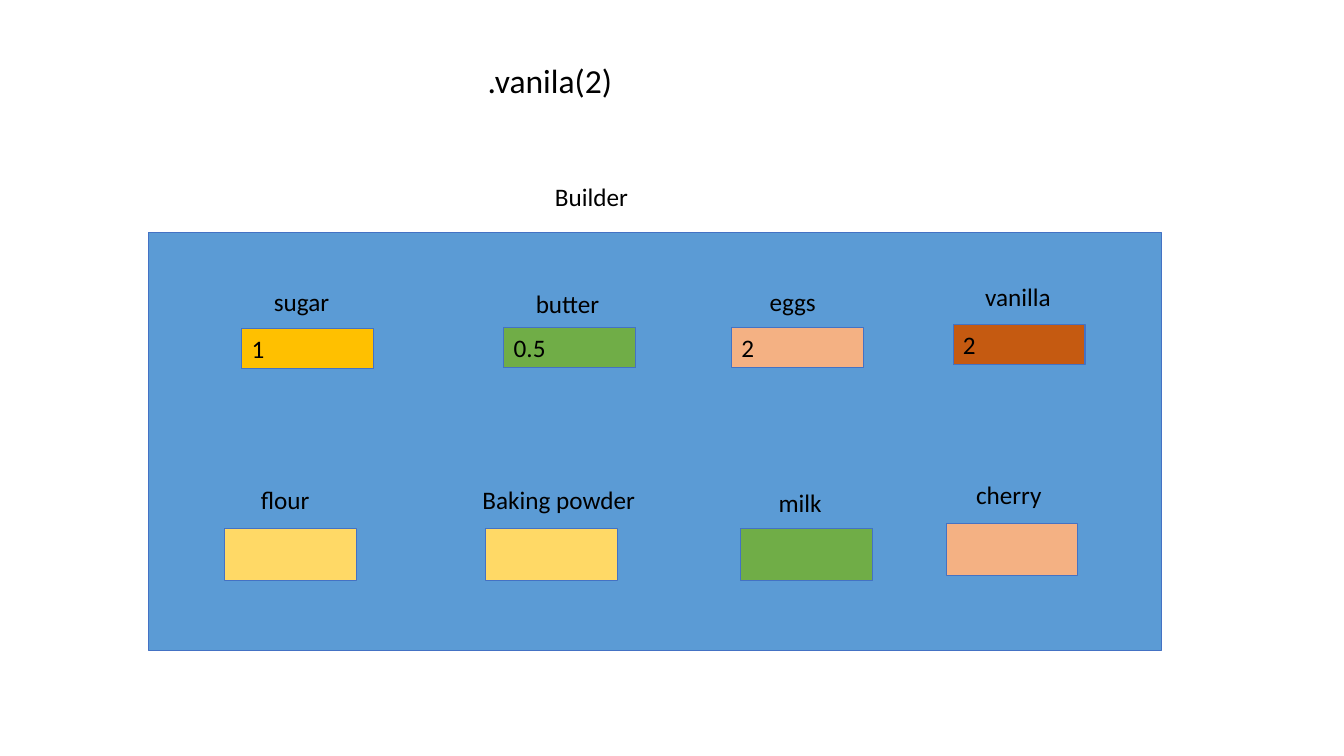
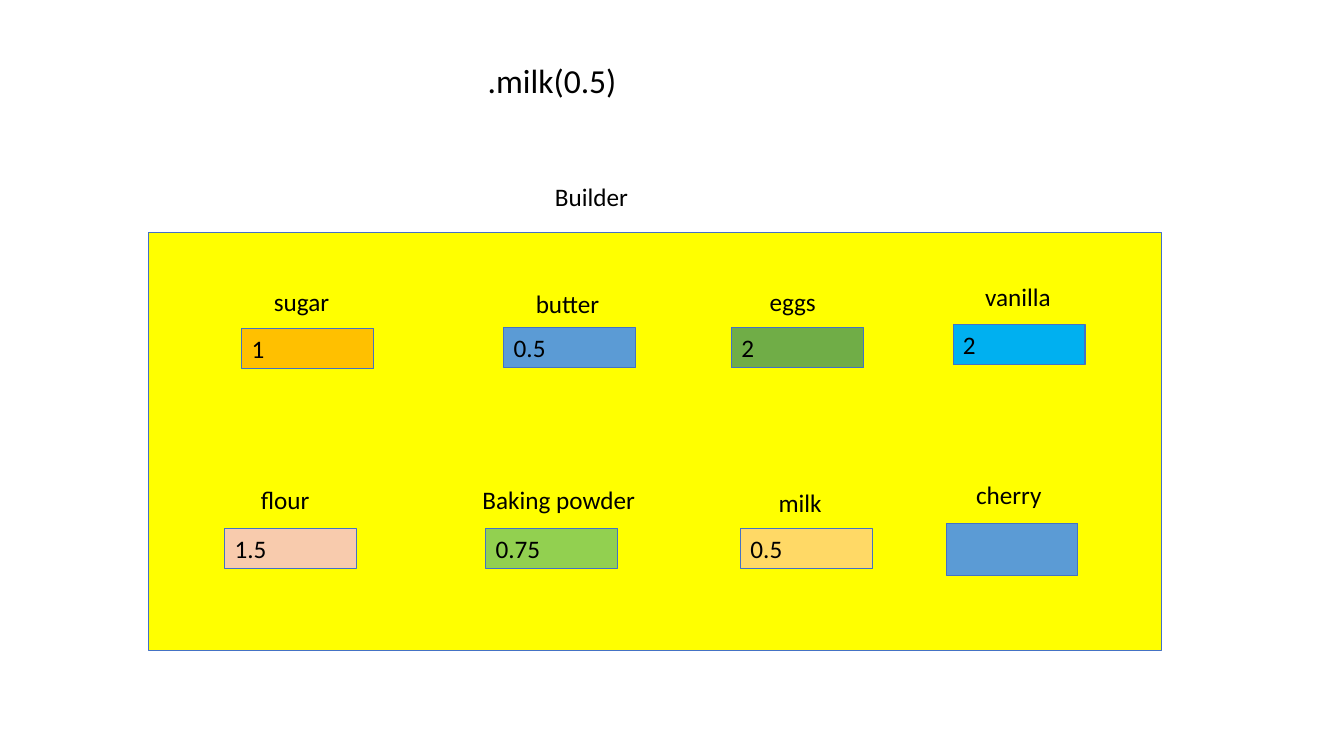
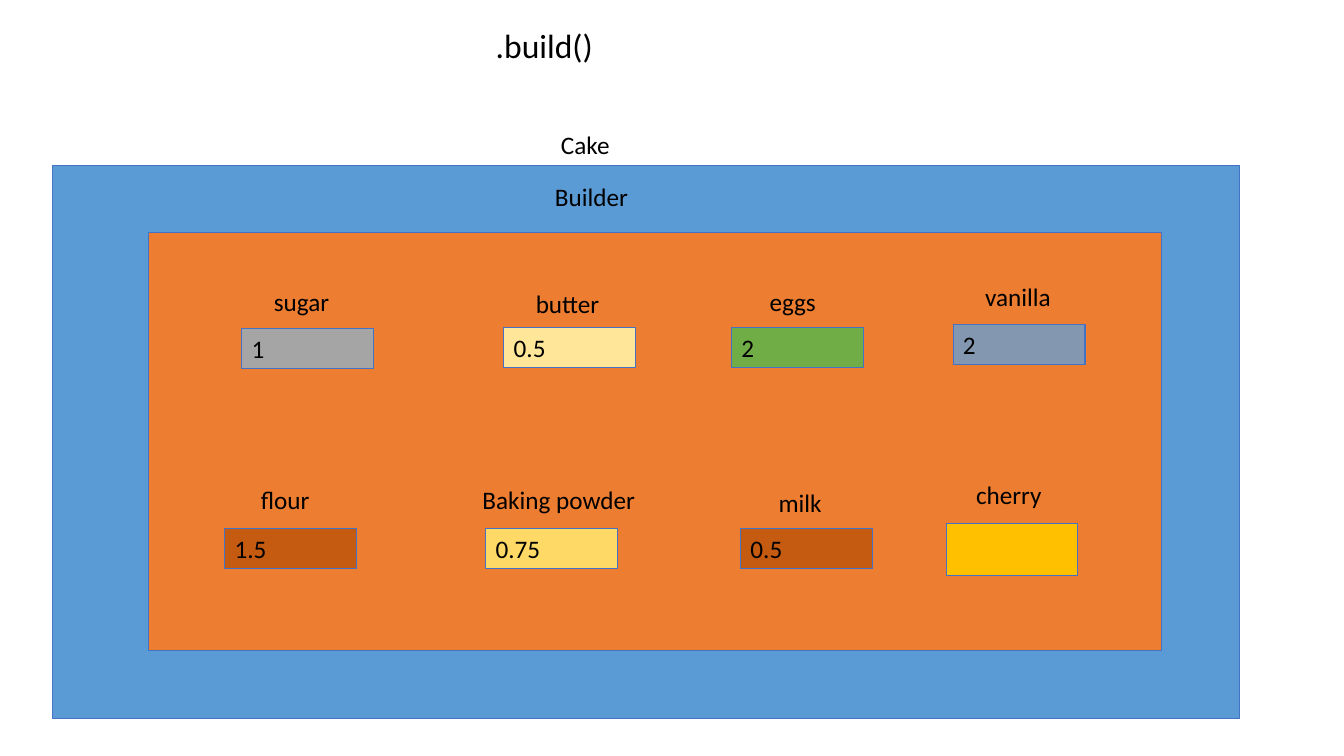
from pptx import Presentation
from pptx.dml.color import RGBColor
from pptx.enum.shapes import MSO_SHAPE
from pptx.enum.text import MSO_ANCHOR, MSO_AUTO_SIZE, PP_ALIGN
from pptx.util import Inches, Pt

RECT = MSO_SHAPE.RECTANGLE
TOP, LEFT, FIXED = MSO_ANCHOR.TOP, PP_ALIGN.LEFT, MSO_AUTO_SIZE.NONE

BLACK = RGBColor(0x00, 0x00, 0x00)
EDGE = RGBColor(0x44, 0x72, 0xC4)
BLUE = RGBColor(0x5B, 0x9B, 0xD5)
SKY = RGBColor(0x00, 0xB0, 0xF0)
SLATE = RGBColor(0x84, 0x97, 0xB0)
GREY = RGBColor(0xA5, 0xA5, 0xA5)
YELLOW = RGBColor(0xFF, 0xFF, 0x00)
GOLD = RGBColor(0xFF, 0xC0, 0x00)
SAND = RGBColor(0xFF, 0xD9, 0x66)
CREAM = RGBColor(0xFF, 0xE6, 0x99)
GREEN = RGBColor(0x70, 0xAD, 0x47)
LIME = RGBColor(0x92, 0xD0, 0x50)
ORANGE = RGBColor(0xED, 0x7D, 0x31)
RUST = RGBColor(0xC5, 0x5A, 0x11)
PEACH = RGBColor(0xF4, 0xB1, 0x83)
BLUSH = RGBColor(0xF8, 0xCB, 0xAD)

# Boxes are left, top, width, height in inches.
BUILDER = (1.47, 2.31, 10.06, 4.14)
CAKE = (0.52, 1.64, 11.78, 5.49)
SLOT_W, FULL_H, EMPTY_H = 1.31, 0.4, 0.52
LABEL_W, WIDE_W, LABEL_H = 0.94, 1.72, 0.4

# Name, slot offset in the panel, label offset from the slot, label width.
PARTS = [
    ("sugar", (0.93, 0.95), (0.22, -0.47), LABEL_W),
    ("butter", (3.53, 0.94), (0.22, -0.44), LABEL_W),
    ("eggs", (5.79, 0.94), (0.28, -0.46), LABEL_W),
    ("vanilla", (7.99, 0.91), (0.22, -0.48), LABEL_W),
    ("flour", (0.76, 2.93), (0.26, -0.48), LABEL_W),
    ("Baking powder", (3.35, 2.93), (-0.13, -0.48), WIDE_W),
    ("milk", (5.88, 2.93), (0.28, -0.45), LABEL_W),
    ("cherry", (7.92, 2.88), (0.20, -0.48), LABEL_W),
]

# Each slide: title, title box, panel fill, slot values and slot fills.
STEPS = [
    (".vanila(2)", (4.74, 0.54, 1.58, 0.5), BLUE,
     ["1", "0.5", "2", "2", "", "", "", ""],
     [GOLD, GREEN, PEACH, RUST, SAND, SAND, GREEN, PEACH]),
    (".milk(0.5)", (4.74, 0.54, 1.67, 0.5), YELLOW,
     ["1", "0.5", "2", "2", "1.5", "0.75", "0.5", ""],
     [GOLD, BLUE, GREEN, SKY, BLUSH, LIME, SAND, BLUE]),
    (".build()", (4.82, 0.2, 1.67, 0.5), ORANGE,
     ["1", "0.5", "2", "2", "1.5", "0.75", "0.5", ""],
     [GREY, CREAM, GREEN, SLATE, RUST, SAND, RUST, GOLD]),
]

FRAME = {"word_wrap": True, "auto_size": FIXED, "vertical_anchor": TOP,
         "margin_left": Inches(0.1), "margin_right": Inches(0.1),
         "margin_top": Inches(0.05), "margin_bottom": Inches(0.05)}
FONT = {"name": "Calibri", "bold": False}


def inches(box):
    return [Inches(n) for n in box]


def write(shape, text, size=18):
    frame = shape.text_frame
    frame.text = text
    for key, value in FRAME.items():
        setattr(frame, key, value)
    line = frame.paragraphs[0]
    line.alignment = LEFT
    for key, value in {**FONT, "size": Pt(size)}.items():
        setattr(line.font, key, value)
    line.font.color.rgb = BLACK


def block(slide, box, fill, text=""):
    shape = slide.shapes.add_shape(RECT, *inches(box))
    shape.shadow.inherit = False
    shape.fill.solid()
    shape.fill.fore_color.rgb = fill
    shape.line.color.rgb = EDGE
    shape.line.width = Pt(0.75)
    if text:
        write(shape, text)


def label(slide, box, text):
    write(slide.shapes.add_textbox(*inches(box)), text)


def panel(slide, box, fill, name, shift, width):
    """Draw a filled panel with its name shifted from its top left corner."""
    block(slide, box, fill)
    label(slide, (box[0] + shift[0], box[1] + shift[1], width, LABEL_H), name)


def slots(slide, box, values, fills):
    """Draw the named ingredient slots inside a panel box."""
    for (name, spot, shift, width), value, fill in zip(PARTS, values, fills):
        x, y = box[0] + spot[0], box[1] + spot[1]
        high = FULL_H if value else EMPTY_H
        block(slide, (x, y, SLOT_W, high), fill, value)
        label(slide, (x + shift[0], y + shift[1], width, LABEL_H), name)


def head(slide, box, text):
    title = slide.shapes.title
    title.left, title.top, title.width, title.height = inches(box)
    write(title, text, 24)


def main():
    deck = Presentation()
    deck.slide_width, deck.slide_height = inches((13.34, 7.5))
    only = deck.slide_layouts.get_by_name("Title Only")
    for text, spot, fill, values, fills in STEPS:
        slide = deck.slides.add_slide(only)
        head(slide, spot, text)
        if text == ".build()":
            panel(slide, CAKE, BLUE, "Cake", (4.95, -0.41), 1.23)
        panel(slide, BUILDER, fill, "Builder", (3.94, -0.56), 1)
        slots(slide, BUILDER, values, fills)
    deck.save("out.pptx")


if __name__ == "__main__":
    main()
